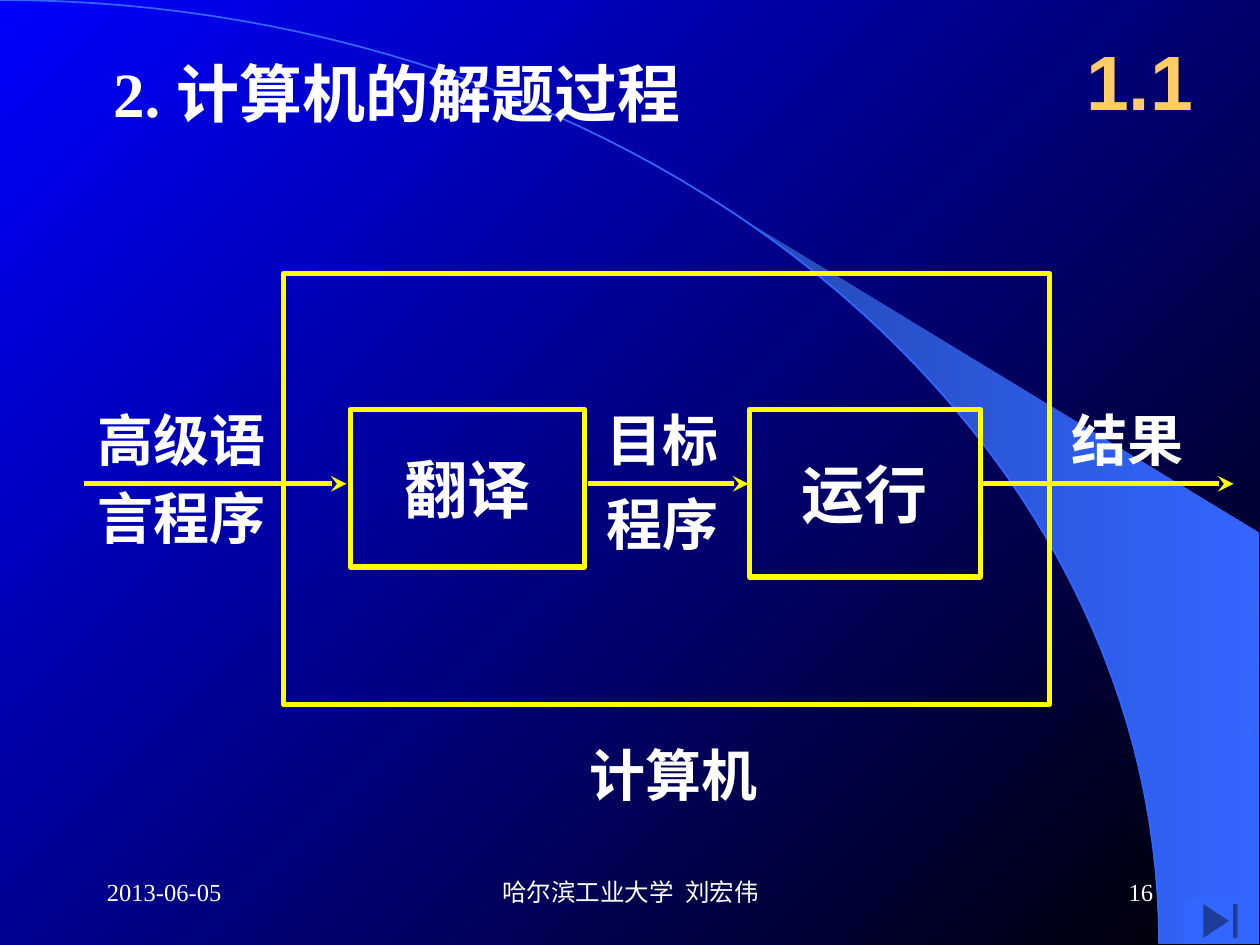
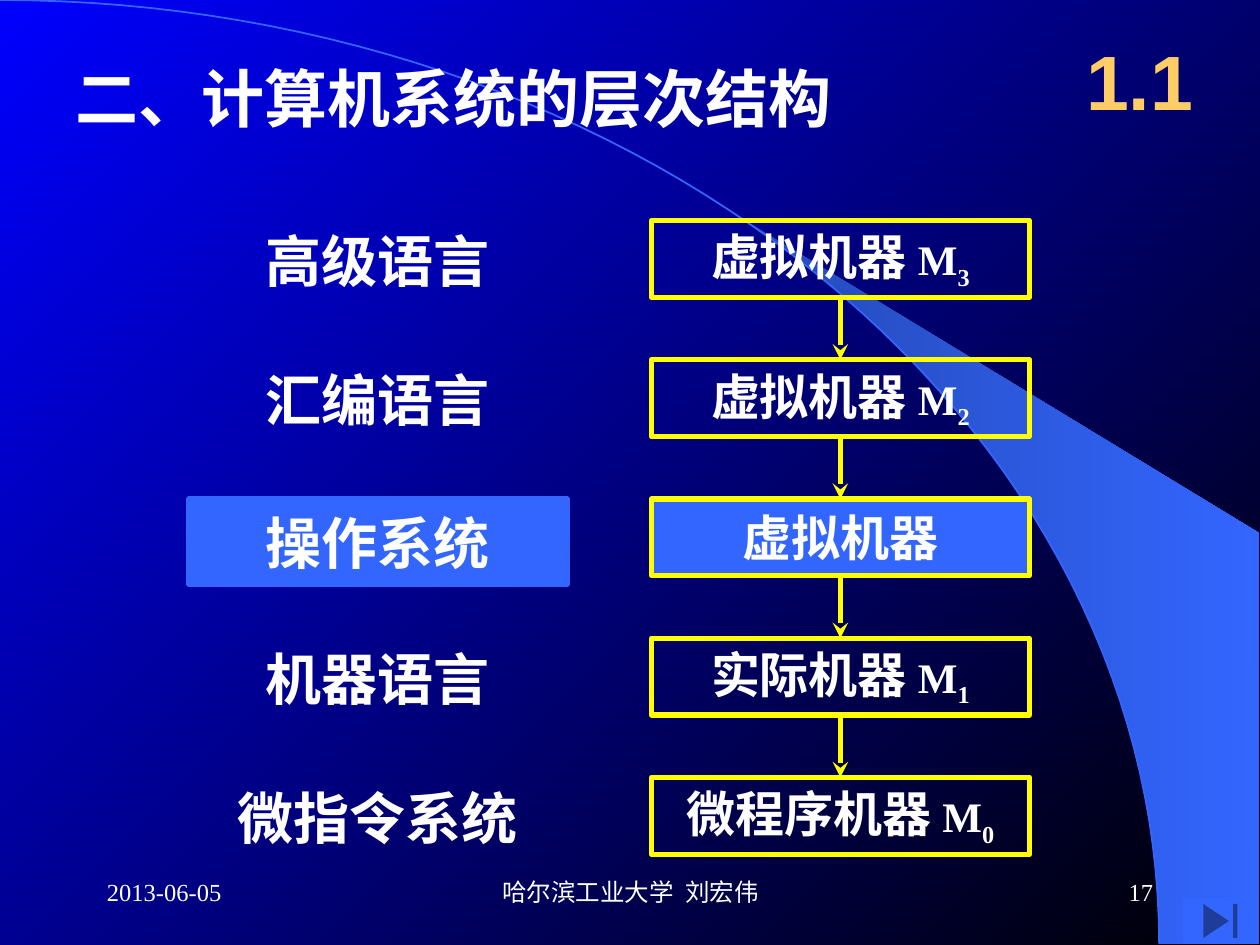
"""Build two lecture slides on how a computer solves problems and its layers."""
import math
from typing import NamedTuple

from lxml import etree
from pptx import Presentation, util as u
from pptx.dml import color as c
from pptx.enum import shapes as s, text as t
from pptx.oxml import ns

BLUE = c.RGBColor(0x00, 0x00, 0xFF)
BLACK = c.RGBColor(0x00, 0x00, 0x00)
NAVY = c.RGBColor(0x24, 0x49, 0xB6)
SKY = c.RGBColor(0x33, 0x66, 0xFF)
YELLOW = c.RGBColor(0xFF, 0xFF, 0x00)
GOLD = c.RGBColor(0xFF, 0xCC, 0x66)
WHITE = c.RGBColor(0xFF, 0xFF, 0xFF)
HAN = "Noto Sans CJK SC"
ROMAN = "Times New Roman"
LEFT, MID, RIGHT = t.PP_ALIGN.LEFT, t.PP_ALIGN.CENTER, t.PP_ALIGN.RIGHT


class Box(NamedTuple):
    x: float
    y: float
    w: float
    h: float


class Layer(NamedTuple):
    name: str
    kind: str
    mark: str = ""


LAYERS = [
    Layer("高级语言", "虚拟机器", "3"),
    Layer("汇编语言", "虚拟机器", "2"),
    Layer("操作系统", "虚拟机器"),
    Layer("机器语言", "实际机器", "1"),
    Layer("微指令系统", "微程序机器", "0"),
]
LABELS = [
    ("高级语", Box(0.77, 3.22, 1.34, 0.53)),
    ("言程序", Box(0.77, 3.84, 1.34, 0.53)),
    ("目标", Box(4.81, 3.22, 0.89, 0.53)),
    ("程序", Box(4.81, 3.89, 0.89, 0.53)),
    ("结果", Box(8.5, 3.22, 0.89, 0.53)),
    ("计算机", Box(4.68, 5.88, 1.34, 0.53)),
]


def write(shape, words: str, *, size: float = 32, face: str = HAN,
          color=WHITE, bold: bool = True, align=MID, pad: float = 0.1,
          wrap: bool = True, drop: bool = False) -> None:
    frame = shape.text_frame
    frame.word_wrap = wrap
    frame.vertical_anchor = t.MSO_ANCHOR.MIDDLE
    frame.margin_left = frame.margin_right = u.Inches(pad)
    frame.margin_top = frame.margin_bottom = u.Inches(pad / 2)
    line = frame.paragraphs[0]
    line.alignment = align
    run = line.add_run()
    run.text = words
    font = run.font
    font.name, font.size, font.bold = face, u.Pt(size), bold
    font.color.rgb = color
    props = run._r.get_or_add_rPr()
    etree.SubElement(props, ns.qn("a:ea"), typeface=HAN)
    if drop:
        props.set("baseline", "-25000")


def label(slide, box: Box, words: str, **form) -> None:
    write(slide.shapes.add_textbox(*map(u.Inches, box)), words, **form)


def paint(shape, fill=None, line=None, width: float = 3) -> None:
    shape.shadow.inherit = False
    if fill is None:
        shape.fill.background()
    else:
        shape.fill.solid()
        shape.fill.fore_color.rgb = fill
    if line is None:
        shape.line.fill.background()
    else:
        shape.line.color.rgb = line
        shape.line.width = u.Pt(width)


def frame(slide, box: Box, fill=None, line=YELLOW,
          kind=s.MSO_SHAPE.RECTANGLE):
    shape = slide.shapes.add_shape(kind, *map(u.Inches, box))
    paint(shape, fill, line)
    return shape


def arrow(slide, x: float, y: float, to_x: float, to_y: float) -> None:
    line = slide.shapes.add_connector(
        s.MSO_CONNECTOR.STRAIGHT, *map(u.Inches, (x, y, to_x, to_y)))
    line.line.color.rgb = YELLOW
    line.line.width = u.Pt(3)
    etree.SubElement(line.line._get_or_add_ln(), ns.qn("a:tailEnd"),
                     type="stealth")
    etree.SubElement(line._element.spPr, ns.qn("a:effectLst"))


def blend(fill, start, end, angle: float) -> None:
    fill.gradient()
    fill.gradient_angle = angle
    for stop, tone in zip(fill.gradient_stops, (start, end)):
        stop.color.rgb = tone


def curve(start: float, count: int) -> list[tuple[float, float]]:
    turns = [math.radians(start + (90 - start) * i / count)
             for i in range(count + 1)]
    return [(9.2 * math.sin(a), 7.49 * (1 - math.cos(a))) for a in turns]


def draw(slide, points: list[tuple[float, float]], close: bool):
    spots = [(u.Inches(x), u.Inches(y)) for x, y in points]
    pen = slide.shapes.build_freeform(*spots[0])
    pen.add_line_segments(spots[1:], close=close)
    return pen.convert_to_shape()


def base(deck, number: int):
    slide = deck.slides.add_slide(deck.slide_layouts[6])
    blend(slide.background.fill, BLUE, BLACK, 315)
    wedge = draw(slide, curve(39.8, 20) + [(9.99, 7.49), (9.99, 4.23)], True)
    paint(wedge)
    blend(wedge.fill, NAVY, SKY, 0)
    paint(draw(slide, curve(0, 60), False), line=SKY, width=1)
    label(slide, Box(8.42, 0.17, 1.25, 0.92), "1.1", size=44, face="Arial",
          color=GOLD)
    frame(slide, Box(9.39, 7.13, 0.59, 0.36), SKY, None,
          s.MSO_SHAPE.ACTION_BUTTON_END)
    for x, width, words, align in (
            (0.75, 2.08, "2013-06-05", LEFT),
            (7.17, 2.08, str(number), RIGHT),
            (3.42, 3.17, "哈尔滨工业大学  刘宏伟", MID)):
        label(slide, Box(x, 6.83, width, 0.5), words, size=14, face=ROMAN,
              bold=False, align=align)
    return slide


def title(slide, box: Box, words: str) -> None:
    label(slide, box, words, size=36, face=ROMAN, align=LEFT)


def solve(deck) -> None:
    slide = base(deck, 16)
    title(slide, Box(0.8, 0.38, 6.37, 0.7), "2. 计算机的解题过程")
    frame(slide, Box(2.25, 2.17, 6.08, 3.42))
    for words, box in (("翻译", Box(2.78, 3.25, 1.86, 1.25)),
                       ("运行", Box(5.95, 3.25, 1.83, 1.33))):
        write(frame(slide, box), words, size=36)
    for words, box in LABELS:
        label(slide, box, words, pad=0, wrap=False)
    for start, end in ((0.67, 2.75), (4.67, 5.94), (7.78, 9.79)):
        arrow(slide, start, 3.84, end, 3.84)


def stack(deck) -> None:
    slide = base(deck, 17)
    title(slide, Box(0.5, 0.42, 8.5, 0.7), "二、计算机系统的层次结构")
    top, high = 1.75, 0.61
    step = (6.17 - top) / (len(LAYERS) - 1)
    for i, layer in enumerate(LAYERS):
        y = top + i * step
        fill = None if layer.mark else SKY
        if fill is None:
            label(slide, Box(1.5, y, 3, 0.63), layer.name)
        else:
            write(frame(slide, Box(1.5, y, 3, 0.68), SKY, SKY), layer.name)
        if i:
            arrow(slide, 6.67, y - step + high + 0.02, 6.67, y)
        cell = frame(slide, Box(5.17, y, 3, high), fill)
        write(cell, layer.kind + (" " if layer.mark else ""), size=28)
        if layer.mark:
            write(cell, "M", size=24, face=ROMAN)
            write(cell, layer.mark, size=24, face=ROMAN, drop=True)


def main() -> None:
    deck = Presentation()
    deck.slide_width, deck.slide_height = u.Inches(10), u.Inches(7.5)
    solve(deck)
    stack(deck)
    deck.save("out.pptx")


main()
